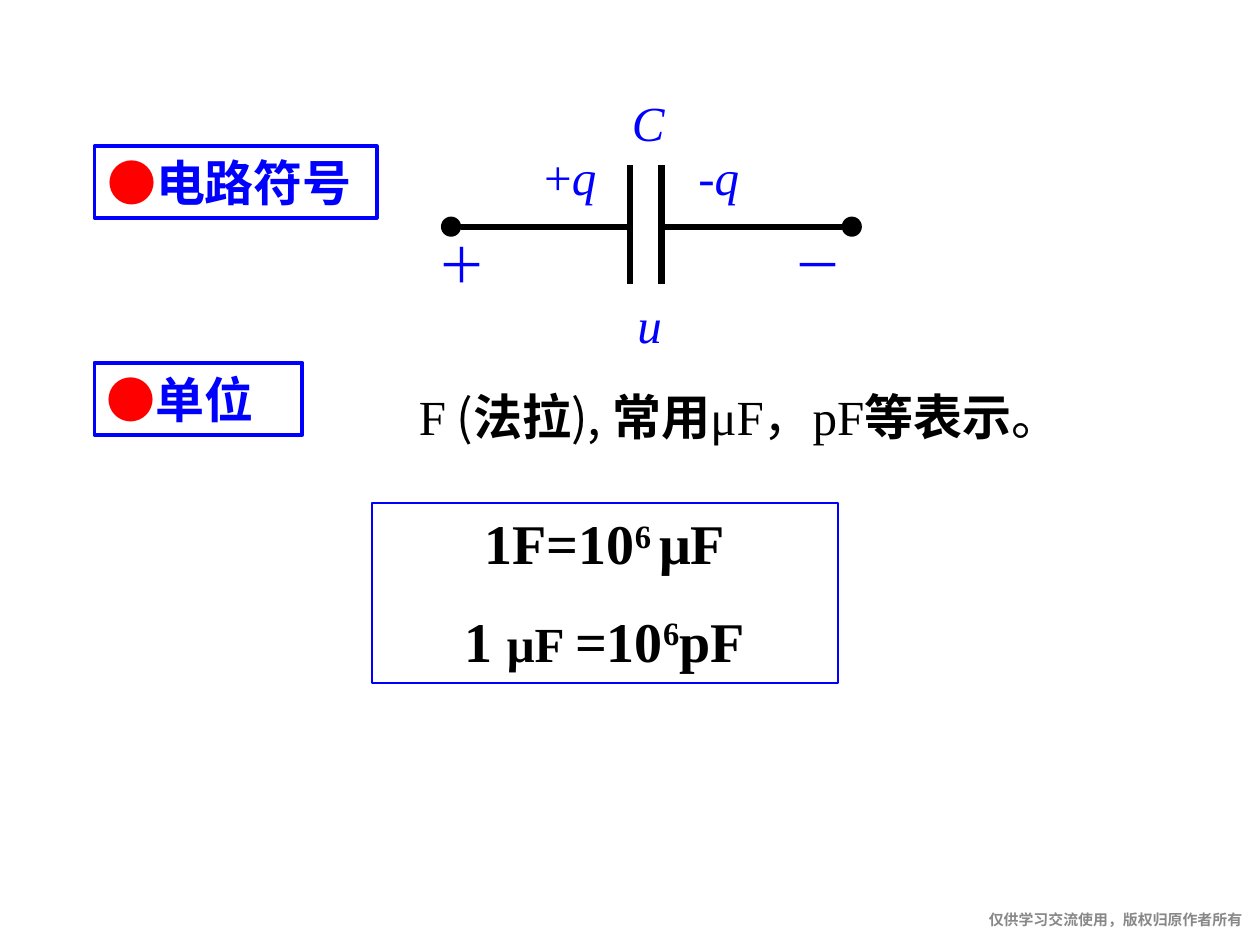
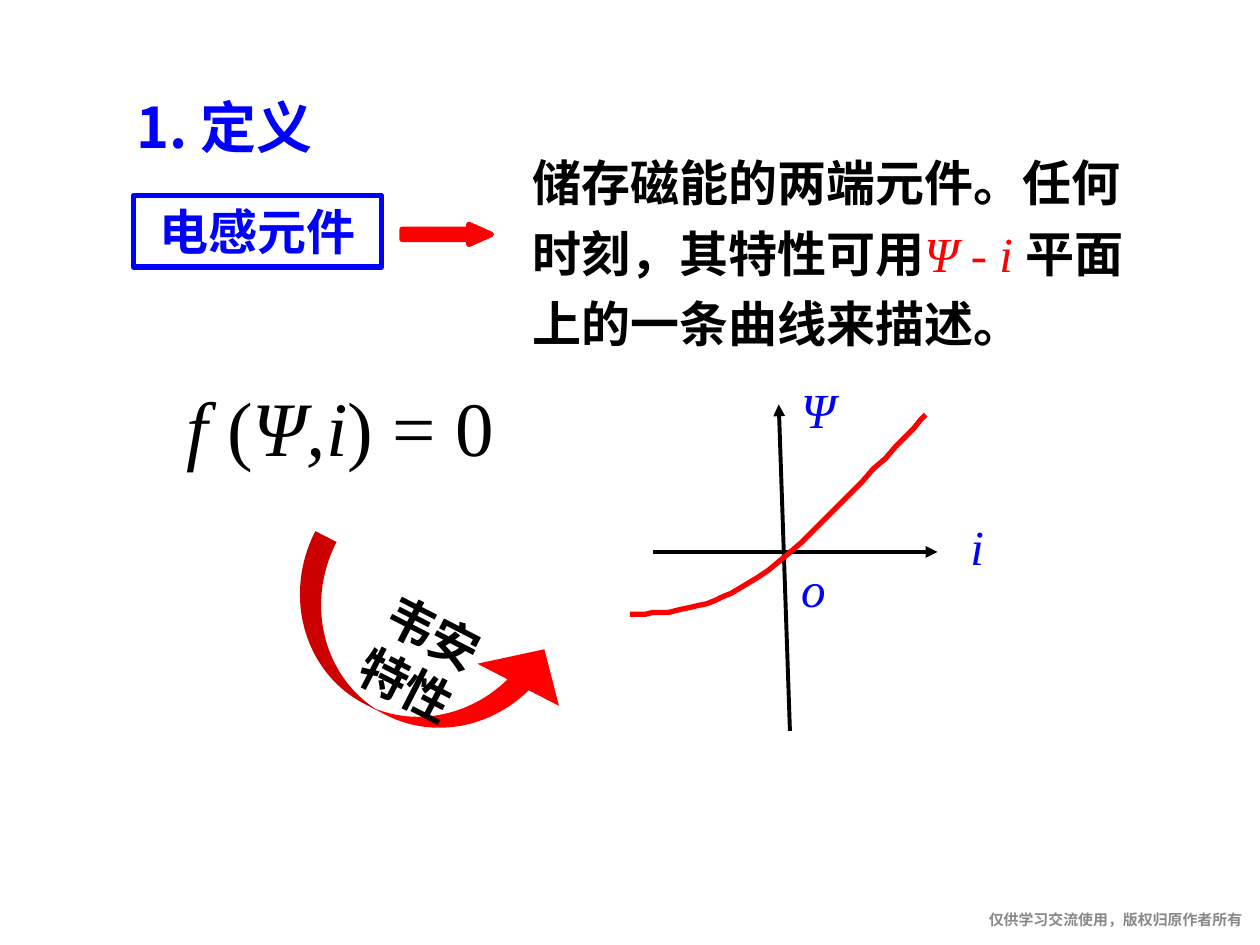
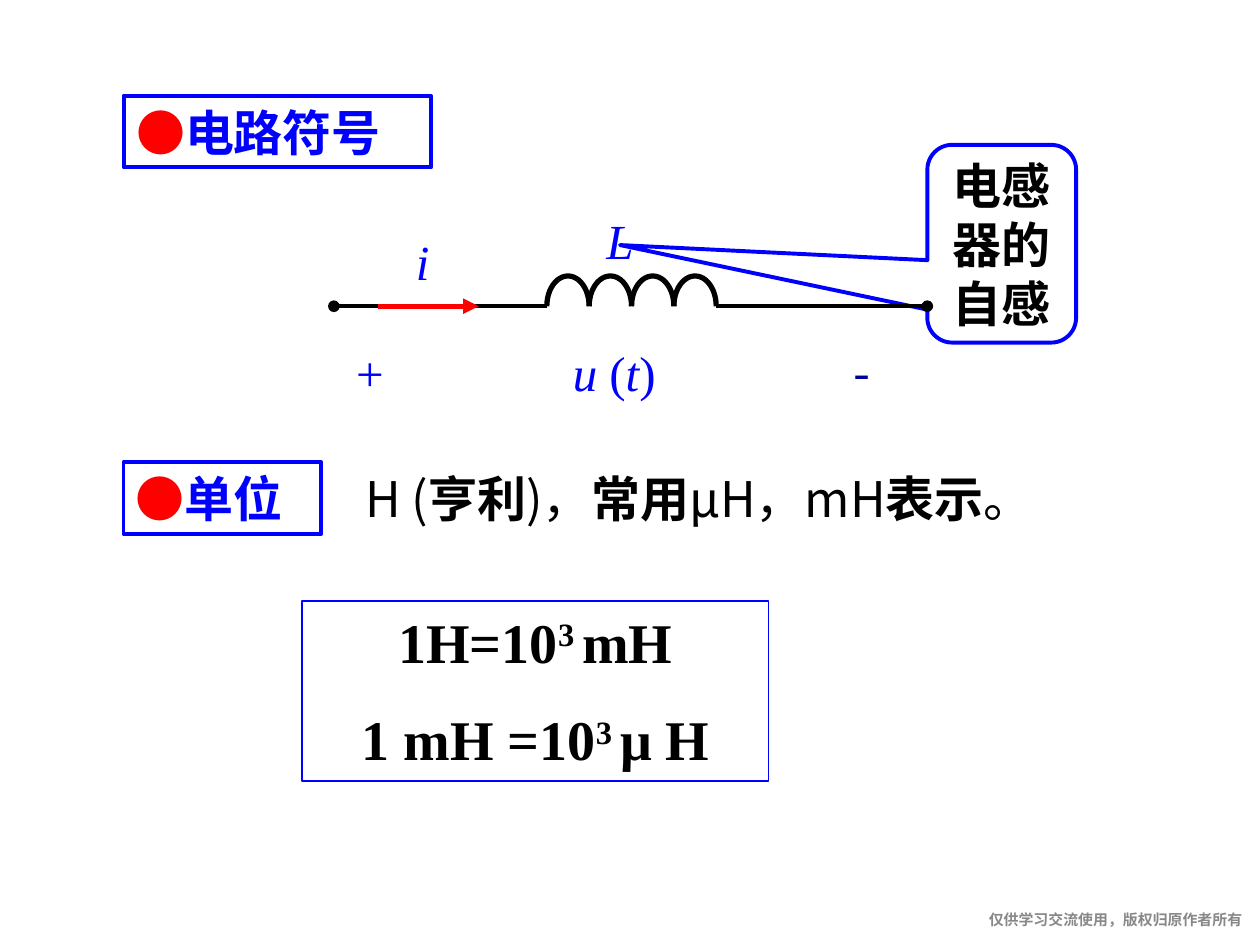
from dataclasses import dataclass

from lxml import etree
from pptx import Presentation
from pptx.dml.color import RGBColor
from pptx.enum import shapes, text
from pptx.oxml import ns
from pptx.util import Pt

PRESET = shapes.MSO_SHAPE
ALIGN = text.PP_ALIGN
ANCHOR = text.MSO_ANCHOR
FOOTER = "仅供学习交流使用，版权归原作者所有"


@dataclass(frozen=True)
class Theme:
    blue: str = "0000FF"
    navy: str = "000099"
    red: str = "FF0000"
    black: str = "000000"
    grey: str = "888888"
    serif: str = "Times New Roman"
    sans: str = "Noto Sans CJK SC"
    footer_face: str = "Arial"
    body: float = 28
    heading: float = 32
    formula: float = 44
    footer: float = 8.5
    label_height: float = 41


T = Theme()
ITALIC = {"italic": True}
BOLD = {"bold": True}
SUPER = {"baseline": 30000}
SERIF = {"face": T.serif}


def child(parent, tag, **attributes):
    return etree.SubElement(parent, ns.qn(tag), attributes)


def set_color(font, value):
    font.color.rgb = RGBColor.from_string(value)


def set_baseline(font, value):
    font._element.set("baseline", str(value))


SETTERS = {
    "color": set_color,
    "face": lambda font, value: setattr(font, "name", value),
    "size": lambda font, value: setattr(font, "size", Pt(value)),
    "bold": lambda font, value: setattr(font, "bold", value),
    "italic": lambda font, value: setattr(font, "italic", value),
    "baseline": set_baseline,
}


def bezier(p0, p1, p2, p3, steps=16):
    """Return points along a cubic curve, its start left out."""
    def at(t):
        weights = ((1 - t) ** 3, 3 * t * (1 - t) ** 2, 3 * t * t * (1 - t), t ** 3)
        return tuple(sum(w * p[axis] for w, p in zip(weights, (p0, p1, p2, p3)))
                     for axis in (0, 1))
    return [at(i / steps) for i in range(1, steps + 1)]


class Deck:
    def __init__(self):
        self.prs = Presentation()
        self.prs.slide_width, self.prs.slide_height = Pt(720), Pt(540)
        self.slide = None

    def new_slide(self):
        self.slide = self.prs.slides.add_slide(self.prs.slide_layouts[5])
        footer = self.label(436.3, 520.6, FOOTER, 273.6, 15.8, align=ALIGN.RIGHT,
                            face=T.footer_face, size=T.footer, color=T.grey, bold=True)
        frame = footer.text_frame
        frame.word_wrap = False
        frame.margin_left = frame.margin_right = frame.margin_top = frame.margin_bottom = 0

    def set_text(self, shape, paragraphs, align=ALIGN.CENTER, anchor=ANCHOR.TOP,
                 gap=0, spacing=None, **style):
        """Fill a shape with paragraphs, each a string or a list of (text, changes)."""
        base = {"color": T.blue, "face": T.serif, "size": T.body,
                "bold": False, "italic": False} | style
        frame = shape.text_frame
        frame.word_wrap = True
        frame.auto_size = text.MSO_AUTO_SIZE.NONE
        frame.vertical_anchor = anchor
        for index, spans in enumerate(paragraphs):
            paragraph = frame.add_paragraph() if index else frame.paragraphs[0]
            paragraph.alignment = align
            paragraph.space_before = Pt(gap if index else 0)
            if spacing:
                paragraph.line_spacing = spacing
            if isinstance(spans, str):
                spans = [(spans, {})]
            styles = [base | changes for _, changes in spans]
            shared = {k: v for k, v in styles[0].items()
                      if all(s.get(k) == v for s in styles)}
            self.set_font(paragraph.font, shared)
            for (words, _), full in zip(spans, styles):
                run = paragraph.add_run()
                run.text = words
                self.set_font(run.font, {k: v for k, v in full.items() if k not in shared})

    @staticmethod
    def set_font(font, style):
        for key, value in style.items():
            SETTERS[key](font, value)
        if "face" in style:
            child(font._element, "a:ea", typeface=T.sans)

    def title(self, x, y, w, h, spans, line=None, **style):
        title = self.slide.shapes.title
        title.left, title.top, title.width, title.height = map(Pt, (x, y, w, h))
        if line:
            self.outline(title, T.blue, line)
        self.set_text(title, [spans], align=ALIGN.LEFT, **style)

    def label(self, x, y, words, w=45.4, h=T.label_height, **style):
        box = self.slide.shapes.add_textbox(*map(Pt, (x, y, w, h)))
        self.set_text(box, [words], **style)
        return box

    def shape(self, preset, x, y, w, h, fill=None, line=None, width=2.25, adjust=()):
        shape = self.slide.shapes.add_shape(preset, *map(Pt, (x, y, w, h)))
        shape.shadow.inherit = False
        for index, value in enumerate(adjust):
            shape.adjustments[index] = value
        if fill:
            shape.fill.solid()
            shape.fill.fore_color.rgb = RGBColor.from_string(fill)
        else:
            shape.fill.background()
        self.outline(shape, line, width)
        return shape

    @staticmethod
    def outline(shape, color, width):
        if color:
            shape.line.color.rgb = RGBColor.from_string(color)
            shape.line.width = Pt(width)
        else:
            shape.line.fill.background()

    def line(self, x1, y1, x2, y2, width=2.25, color=T.black, head=None, tail=None):
        line = self.slide.shapes.add_connector(
            shapes.MSO_CONNECTOR.STRAIGHT, *map(Pt, (x1, y1, x2, y2)))
        self.outline(line, color, width)
        for tag, end in (("a:headEnd", head), ("a:tailEnd", tail)):
            if end:
                child(line.line._get_or_add_ln(), tag, type=end)
        child(line._element.spPr, "a:effectLst")

    def curve(self, points, color, width):
        builder = self.slide.shapes.build_freeform(*points[0], scale=Pt(1))
        builder.add_line_segments(points[1:], close=False)
        curve = builder.convert_to_shape()
        curve.shadow.inherit = False
        curve.fill.background()
        self.outline(curve, color, width)

    def bullet_title(self, x, y, w, words):
        self.title(x, y, w, T.label_height, self.bulleted(words), line=2.25,
                   anchor=ANCHOR.MIDDLE, face=T.sans, bold=True)

    def bullet_box(self, x, y, w, words):
        box = self.shape(PRESET.RECTANGLE, x, y, w, T.label_height, line=T.blue)
        self.set_text(box, [self.bulleted(words)], align=ALIGN.LEFT, face=T.sans, bold=True)

    @staticmethod
    def bulleted(words):
        return [("●", {"color": T.red}), (words, {})]

    def conversions(self, x, y, equations):
        box = self.shape(PRESET.RECTANGLE, x, y, 266.4, 103, line=T.blue, width=1)
        self.set_text(box, equations, gap=17.5, size=T.heading, color=T.black, bold=True)


def capacitor_slide(deck):
    deck.new_slide()
    deck.bullet_title(54, 83.5, 161.3, "电路符号")

    wire_y = 129.6
    for plate, terminal in ((360, 263.5), (378, 481)):
        deck.line(plate, wire_y, terminal, wire_y, width=3.5)
        deck.line(plate, 94.3, plate, 162, width=4)
    for x in (252, 481):
        deck.shape(PRESET.OVAL, x, 123.8, 11.5, 11.5, fill=T.black)
    deck.label(352, 49, "C", 36.7, anchor=ANCHOR.MIDDLE, italic=True)
    for x, sign in ((241.2, "＋"), (445, "－")):
        deck.label(x, 130.3, sign)
    deck.label(348.5, 164.9, "u", italic=True)
    for x, sign in ((297.4, "+"), (382.3, "-")):
        deck.label(x, 79.9, [(sign, {}), ("q", ITALIC)], 56.9)

    deck.label(195.8, 217.4, [
        ("F", SERIF), (" (", {}), ("法拉", BOLD), ("), ", {}), ("常用", BOLD),
        ("μF，pF", SERIF), ("等表示", BOLD), ("。", {}),
    ], 453.6, anchor=ANCHOR.MIDDLE, face=T.sans, color=T.black)
    deck.bullet_box(54, 207.4, 118.8, "单位")
    deck.conversions(212.4, 287.3, [
        [("1F=10", {}), ("6 ", SUPER), ("μF", {})],
        [("1 ", {}), ("μF ", {"size": T.body}), ("=10", {}), ("6", SUPER), ("pF", {})],
    ])


def inductor_definition_slide(deck):
    deck.new_slide()
    deck.title(70.6, 49, 133.2, 45.4, "1. 定义", face=T.sans, size=T.heading, bold=True)
    term = deck.shape(PRESET.RECTANGLE, 76.3, 111.6, 141.8, T.label_height,
                      line=T.blue, width=3)
    deck.set_text(term, ["电感元件"], bold=True)
    deck.shape(PRESET.RIGHT_ARROW, 229.7, 128.2, 51.1, 11.5, fill=T.red, line=T.red,
               width=3, adjust=(0.5, 1.121))
    variable = SERIF | {"color": T.red, "bold": False}
    deck.label(297.4, 77, [
        ("储存磁能的两端元件。任何时刻，其特性可用", {}), ("Ψ ", variable | ITALIC),
        ("- ", variable), ("i ", variable | ITALIC), ("平面上的一条曲线来描述。", {}),
    ], 374.4, 128.2, align=ALIGN.LEFT, anchor=ANCHOR.MIDDLE, spacing=1.2,
        face=T.sans, color=T.black, bold=True)

    deck.line(373, 315.4, 535.7, 315.4, tail="triangle")
    deck.line(445, 231.1, 451.4, 417.6, head="triangle")
    deck.label(535.7, 291.6, "i", italic=True)
    deck.label(445, 213.1, "Ψ", italic=True)
    deck.label(450.7, 315.4, "o", align=ALIGN.LEFT, italic=True)
    start, bend, end = (360, 351), (433.4, 330), (529.2, 236.9)
    deck.curve([start, *bezier(start, (383, 350), (405.4, 349.2), bend),
                *bezier(bend, (461.5, 311), (513.4, 252.7), end)], T.red, 3)

    swoosh = deck.shape(PRESET.CURVED_UP_ARROW, 153.4, 339.1, 173.5, 74.9, fill=T.red,
                        adjust=(0.182, 0.701, 0.333))
    swoosh.rotation = 27.3
    deck.set_text(swoosh, ["韦安", "特性"], color=T.black, bold=True)
    deck.label(99.4, 213.1, [("f ", ITALIC), ("(", {}), ("Ψ,i", ITALIC), (") = 0", {})],
               255.6, 59.8, align=ALIGN.LEFT, size=T.formula, color=T.black)


def inductor_symbol_slide(deck):
    deck.new_slide()
    deck.bullet_title(70.6, 54.7, 175.7, "电路符号")
    deck.label(201.6, 264.2, [
        ("H (", {}), ("亨利", BOLD), (")，", {}), ("常用", BOLD), ("μH，mH", {}),
        ("表示", BOLD), ("。", {}),
    ], 475.9, align=ALIGN.LEFT, anchor=ANCHOR.MIDDLE, face=T.sans, color=T.black)
    deck.bullet_box(70.6, 264.2, 113, "单位")
    callout = deck.shape(PRESET.ROUNDED_RECTANGULAR_CALLOUT, 529.9, 82.8, 85, 113,
                         line=T.blue, adjust=(-2.566, 0.007, 0.167))
    deck.set_text(callout, ["电感器的自感"], anchor=ANCHOR.MIDDLE, color=T.black, bold=True)
    deck.conversions(172.8, 343.4, [
        [("1H=10", {}), ("3 ", SUPER), ("mH", {})],
        [("1 mH =10", {}), ("3 ", SUPER), ("μ H", {})],
    ])

    terminal_y = 192.2
    deck.label(184.3, terminal_y, "+", 54)
    deck.label(465.8, terminal_y, "-", 54, face=T.sans, color=T.navy)
    deck.label(303.8, terminal_y, [("u ", ITALIC), ("(", {}), ("t", ITALIC), (")", {})], 94.3)
    deck.label(216, 128.9, "i", 51.1, italic=True)
    deck.label(319, 116.6, "L", 70.6, italic=True)

    wire_y, coil_x, turn, turns = 175, 312.5, 24.2, 4
    for index in range(turns):
        deck.shape(PRESET.ARC, coil_x + index * turn, 157.7, turn, 34.6,
                   line=T.black, width=3, adjust=(108, 0))
    deck.line(190.8, wire_y, coil_x, wire_y, head="oval")
    deck.line(coil_x + turns * turn, wire_y, 529.9, wire_y, tail="oval")
    deck.line(216, wire_y, 273.6, wire_y, width=3, color=T.red, tail="triangle")


def main():
    deck = Deck()
    capacitor_slide(deck)
    inductor_definition_slide(deck)
    inductor_symbol_slide(deck)
    deck.prs.save("out.pptx")


if __name__ == "__main__":
    main()
